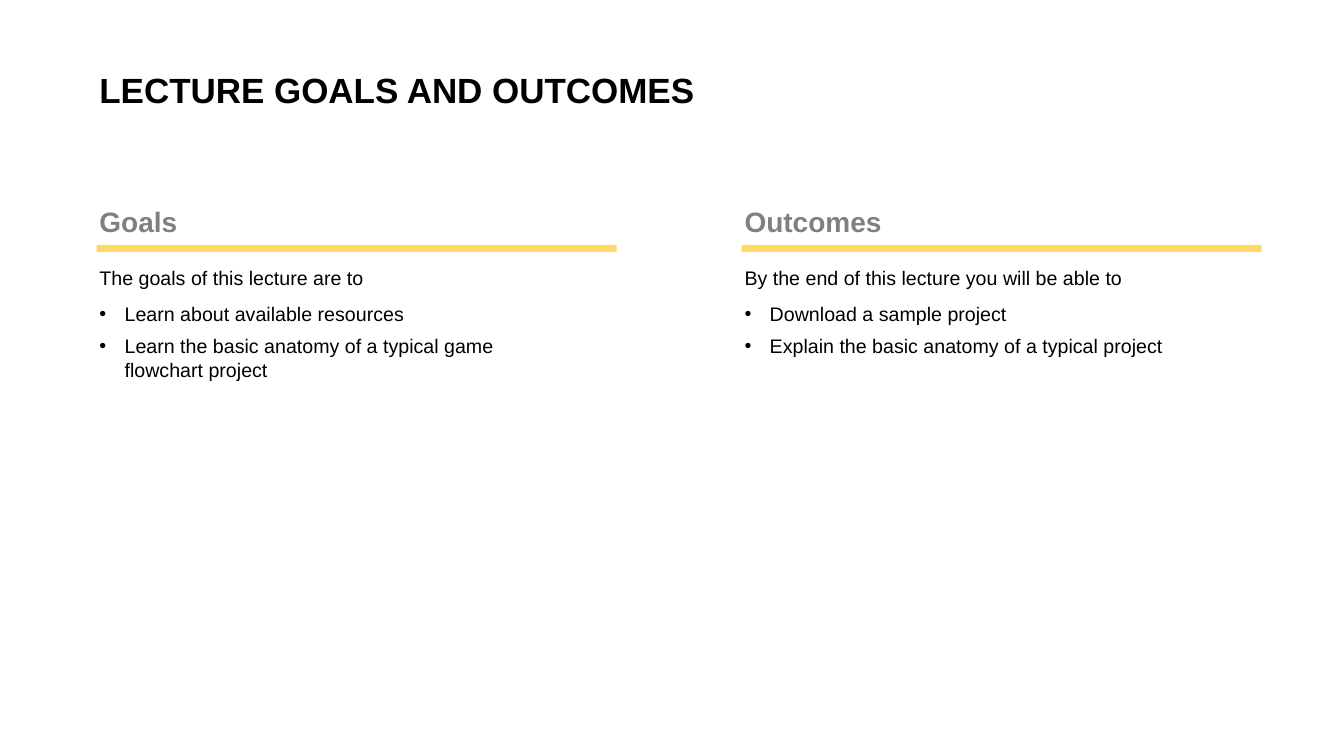
from dataclasses import dataclass

from lxml.etree import SubElement
from pptx import Presentation
from pptx.dml.color import RGBColor
from pptx.enum.shapes import MSO_SHAPE as Preset
from pptx.enum.text import MSO_ANCHOR as Anchor, MSO_AUTO_SIZE as AutoSize, PP_ALIGN as Align
from pptx.oxml.ns import qn
from pptx.util import Pt


@dataclass(frozen=True)
class Theme:
    font: str = "Arial"
    ink: RGBColor = RGBColor(0x00, 0x00, 0x00)
    grey: RGBColor = RGBColor(0x80, 0x80, 0x80)
    yellow: RGBColor = RGBColor(0xFF, 0xD9, 0x66)
    title_size: int = 25
    heading_size: int = 20
    body_size: int = 14


THEME = Theme()
COMPARISON_LAYOUT = 4
INSET = 2
BULLET_INDENT = 18
LEFT_EDGE = 69
COLUMN_PITCH = 460.8
HEADING_WIDTH = 103
RULE_WIDTH = 371.5

# heading, lead-in, bullet points, text width
COLUMNS = [
    ("Goals", "The goals of this lecture are to",
     ["Learn about available resources",
      "Learn the basic anatomy of a typical game flowchart project"], 322.5),
    ("Outcomes", "By the end of this lecture you will be able to",
     ["Download a sample project",
      "Explain the basic anatomy of a typical project"], 335),
]


def place(holder, left, top, width, height):
    """Move a placeholder and return its text frame, ready for text."""
    holder.left, holder.top = Pt(left), Pt(top)
    holder.width, holder.height = Pt(width), Pt(height)
    frame = holder.text_frame
    frame.margin_left = frame.margin_right = Pt(INSET)
    frame.margin_top = frame.margin_bottom = Pt(INSET)
    frame.vertical_anchor = Anchor.TOP
    frame.auto_size = AutoSize.NONE
    frame.word_wrap = True
    return frame


def write(paragraph, text, size, color, bold=False, before=0, after=0):
    paragraph.alignment = Align.LEFT
    paragraph.line_spacing = 1.0
    paragraph.space_before, paragraph.space_after = Pt(before), Pt(after)
    run = paragraph.add_run()
    run.text = text
    run.font.name, run.font.size = THEME.font, Pt(size)
    run.font.bold, run.font.color.rgb = bold, color


def set_bullet(paragraph, char=None):
    """Give the paragraph a hanging bullet, or none without a character."""
    props = paragraph._p.get_or_add_pPr()
    indent = Pt(BULLET_INDENT) if char else 0
    props.set("marL", str(indent))
    props.set("indent", str(-indent))
    if char:
        SubElement(props, qn("a:buFont"), typeface=THEME.font)
        SubElement(props, qn("a:buChar"), char=char)
    else:
        SubElement(props, qn("a:buNone"))


def add_rule(slide, left):
    rule = slide.shapes.add_shape(
        Preset.RECTANGLE, Pt(left), Pt(175), Pt(RULE_WIDTH), Pt(5))
    rule.shadow.inherit = False
    rule.fill.solid()
    rule.fill.fore_color.rgb = THEME.yellow
    rule.line.fill.background()


def fill_column(slide, heading_holder, list_holder, left, column):
    heading, lead_in, points, text_width = column
    frame = place(heading_holder, left, 144, HEADING_WIDTH, 28)
    write(frame.paragraphs[0], heading, THEME.heading_size, THEME.grey, bold=True)
    add_rule(slide, left)

    frame = place(list_holder, left, 188, text_width, 112)
    intro = frame.paragraphs[0]
    set_bullet(intro)
    write(intro, lead_in, THEME.body_size, THEME.ink, after=6)
    for point in points:
        item = frame.add_paragraph()
        set_bullet(item, "•")
        write(item, point, THEME.body_size, THEME.ink, before=3, after=3)


def main():
    deck = Presentation()
    deck.slide_width, deck.slide_height = Pt(960), Pt(540)
    slide = deck.slides.add_slide(deck.slide_layouts[COMPARISON_LAYOUT])

    title = place(slide.shapes.title, LEFT_EDGE, 47, 440, 34.5)
    write(title.paragraphs[0], "LECTURE GOALS AND OUTCOMES",
          THEME.title_size, THEME.ink, bold=True)

    _, *holders = slide.placeholders
    for index, column in enumerate(COLUMNS):
        heading_holder, list_holder = holders[2 * index:2 * index + 2]
        fill_column(slide, heading_holder, list_holder,
                    LEFT_EDGE + index * COLUMN_PITCH, column)

    deck.save("out.pptx")


if __name__ == "__main__":
    main()
